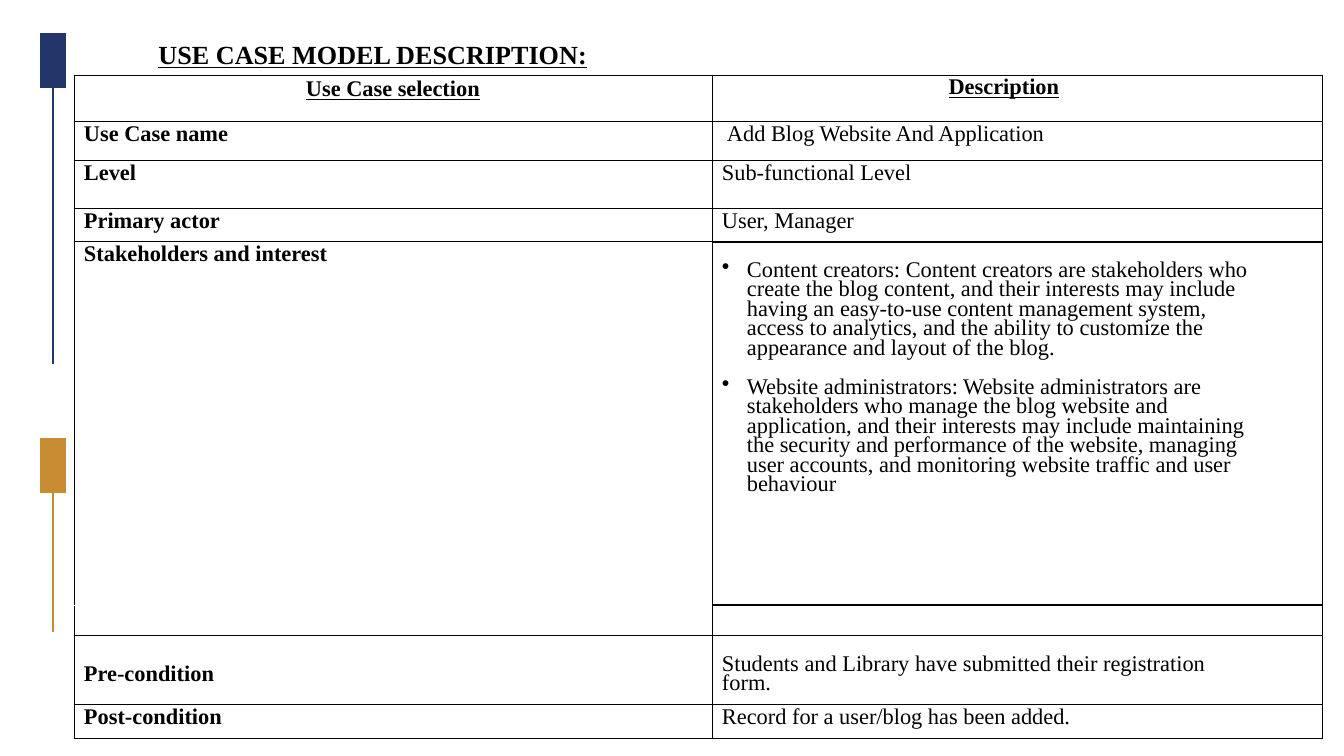
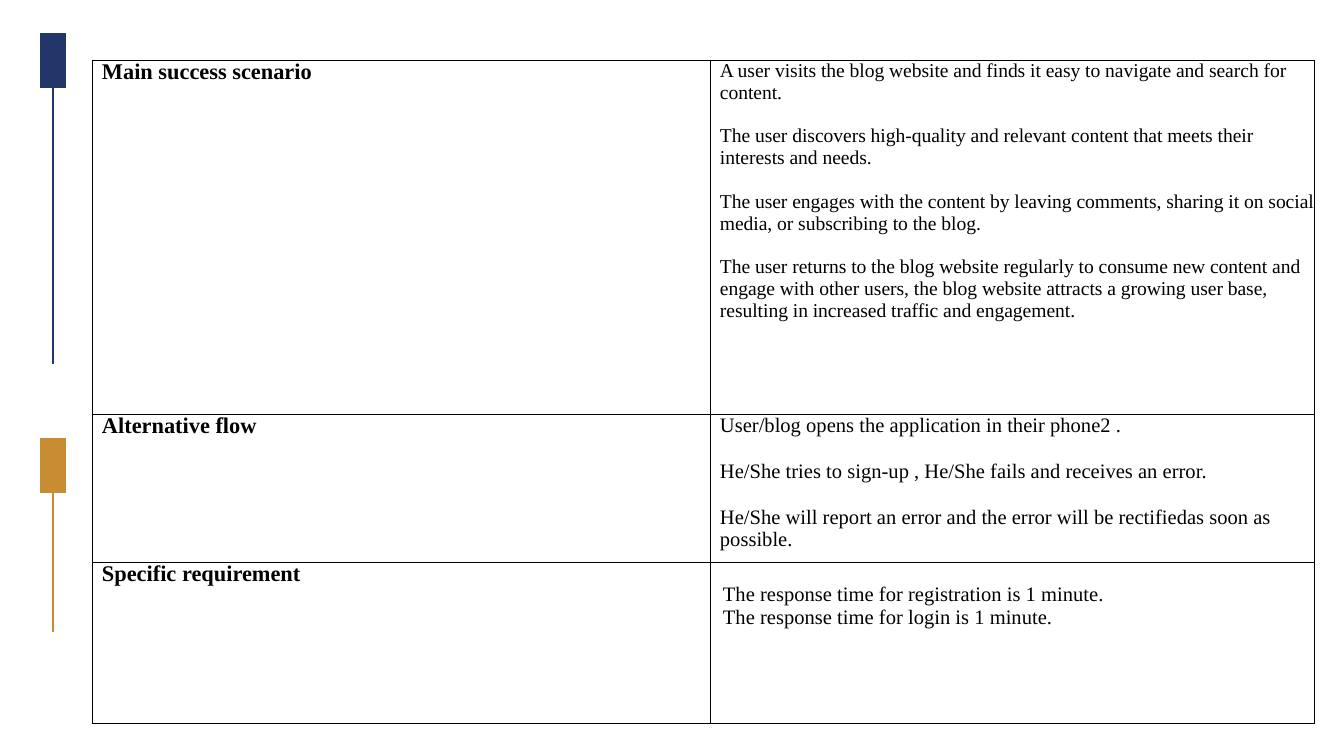
from dataclasses import dataclass, field

from lxml.etree import SubElement
from pptx import Presentation
from pptx.dml.color import RGBColor as Rgb
from pptx.enum.shapes import MSO_CONNECTOR as Connector
from pptx.enum.shapes import MSO_SHAPE as Preset
from pptx.enum.text import MSO_ANCHOR as Anchor
from pptx.enum.text import MSO_AUTO_SIZE as AutoSize
from pptx.enum.text import PP_ALIGN as Align
from pptx.oxml.ns import qn
from pptx.util import Emu, Pt

EMU_PER_PX = 914400 / 134.4
TITLE_ONLY, BLANK = 5, 6


@dataclass(frozen=True)
class Theme:
    """Colours, font and type sizes shared by the slides."""
    font: str = "Times New Roman"
    ink: str = "000000"
    paper: str = "FFFFFF"
    navy: str = "223669"
    gold: str = "C88C32"
    title: float = 14
    body: float = 12
    flow: float = 11
    scenario: float = 10.5
    rail: float = 1
    border: float = 0.58
    heavy: float = 0.82
    hair: float = 0.25


THEME = Theme()


@dataclass
class CellText:
    """Paragraphs of one table cell with their look, lengths in px."""
    paragraphs: tuple = ()
    size: float = THEME.body
    bold: bool = False
    underline: bool = False
    align: Align = Align.LEFT
    left: int = 10
    top: int = 0
    right: int = 0
    gap: int = 0
    spacing: object = None
    hang: int = 0
    borders: dict = field(default_factory=dict)


def px(length):
    """Turn px into EMU."""
    return Emu(round(length * EMU_PER_PX))


def px_box(box):
    """Turn a px box into EMU lengths."""
    return [px(length) for length in box]


def apply_format(target, values):
    """Set every attribute named in the dict."""
    for name, value in values.items():
        setattr(target, name, value)


def format_font(font, size, bold, underline):
    """Give a font the shared face and ink."""
    apply_format(font, {"name": THEME.font, "size": Pt(size),
                        "bold": bold, "underline": underline})
    font.color.rgb = Rgb.from_string(THEME.ink)


def label(text, **look):
    """Describe a bold label cell."""
    return CellText((text,), bold=True, **look)


def heading(text, **look):
    """Describe a centred, underlined column heading."""
    return label(text, underline=True, align=Align.CENTER, left=0, **look)


def add_marker(group, box, color, rail_length):
    """Draw a block with a rail hanging from its middle."""
    left, top, width, height = box
    middle = left + width // 2
    start = top + height // 2
    rail = group.shapes.add_connector(
        Connector.STRAIGHT, *px_box((middle, start, middle, start + rail_length)))
    rail.line.width = Pt(THEME.rail)
    rail.line.color.rgb = Rgb.from_string(color)
    SubElement(rail.element.spPr, qn("a:effectLst"))
    block = group.shapes.add_shape(Preset.RECTANGLE, *px_box(box))
    block.shadow.inherit = False
    block.fill.solid()
    block.fill.fore_color.rgb = Rgb.from_string(color)
    block.line.fill.background()


def add_side_markers(presentation, slide):
    """Place the two side markers on the slide master."""
    group = slide.shapes.add_group_shape()
    add_marker(group, (40, 438, 26, 55), THEME.gold, 167)
    add_marker(group, (40, 33, 26, 55), THEME.navy, 304)
    for number, node in enumerate(group.element.xpath(".//p:cNvPr"), 20):
        node.set("id", str(number))
    presentation.slide_master.element.cSld.spTree.append(group.element)


def set_title(slide, text, box):
    """Move and format the title placeholder."""
    title = slide.shapes.title
    apply_format(title, dict(zip(("left", "top", "width", "height"), px_box(box))))
    apply_format(title.text_frame, {"text": text, "word_wrap": True,
                                    "auto_size": AutoSize.NONE,
                                    "vertical_anchor": Anchor.MIDDLE})
    paragraph = title.text_frame.paragraphs[0]
    paragraph.alignment = Align.LEFT
    format_font(paragraph.runs[0].font, THEME.title, True, True)


def add_bullet(paragraph, hang):
    """Give a paragraph a hanging round bullet."""
    properties = paragraph._p.get_or_add_pPr()
    properties.set("marL", str(px(hang)))
    properties.set("indent", str(-px(hang)))
    color = SubElement(properties, qn("a:buClr"))
    SubElement(color, qn("a:srgbClr"), val=THEME.ink)
    SubElement(properties, qn("a:buChar"), char="•")


def set_borders(cell, overrides):
    """Draw the four cell edges, with overrides by edge letter."""
    properties = cell._tc.get_or_add_tcPr()
    for edge in "LRTB":
        color, width = overrides.get(edge, (THEME.ink, THEME.border))
        line = SubElement(properties, qn(f"a:ln{edge}"), w=str(Pt(width)))
        fill = SubElement(line, qn("a:solidFill"))
        SubElement(fill, qn("a:srgbClr"), val=color)


def fill_cell(cell, content):
    """Write one cell and set its margins, edges and fill."""
    apply_format(cell, {"margin_left": px(content.left), "margin_top": px(content.top),
                        "margin_right": px(content.right), "margin_bottom": 0,
                        "vertical_anchor": Anchor.TOP})
    set_borders(cell, content.borders)
    cell.fill.background()
    frame = cell.text_frame
    if not content.paragraphs:
        SubElement(frame.paragraphs[0]._p, qn("a:endParaRPr"),
                   sz=str(round(content.size * 100)))
    for index, text in enumerate(content.paragraphs):
        paragraph = frame.add_paragraph() if index else frame.paragraphs[0]
        if content.hang:
            add_bullet(paragraph, content.hang)
        apply_format(paragraph, {"alignment": content.align,
                                 "line_spacing": content.spacing})
        if index and content.gap:
            paragraph.space_before = px(content.gap)
        run = paragraph.add_run()
        run.text = text
        format_font(run.font, content.size, content.bold, content.underline)


def add_grid(slide, origin, widths, heights, rows):
    """Build a plain ruled table from rows of cell texts."""
    box = (*origin, sum(widths), sum(heights))
    table = slide.shapes.add_table(len(heights), len(widths), *px_box(box)).table
    apply_format(table, {"first_row": False, "horz_banding": False})
    for column, width in zip(table.columns, widths):
        column.width = px(width)
    for row, height, contents in zip(table.rows, heights, rows):
        row.height = px(height)
        for cell, content in zip(row.cells, contents):
            fill_cell(cell, content)


def build_description_slide(slide):
    """Fill the slide with the titled use case table."""
    set_title(slide, "USE CASE MODEL DESCRIPTION:", (145, 31, 564, 46))
    heavy = (THEME.ink, THEME.heavy)
    hair = (THEME.ink, THEME.hair)
    hidden = (THEME.paper, THEME.hair)
    tight = {"spacing": 0.78, "top": 20, "right": 69}
    stakeholders = (
        "Content creators: Content creators are stakeholders who create the blog "
        "content, and their interests may include having an easy-to-use content "
        "management system, access to analytics, and the ability to customize the "
        "appearance and layout of the blog.",
        "Website administrators: Website administrators are stakeholders who manage "
        "the blog website and application, and their interests may include "
        "maintaining the security and performance of the website, managing user "
        "accounts, and monitoring website traffic and user behaviour",
    )
    rows = [
        (heading("Use Case selection", top=2), heading("Description", right=26)),
        (label("Use Case name"),
         CellText(("Add Blog Website And Application",), left=15)),
        (label("Level"), CellText(("Sub-functional Level",))),
        (label("Primary actor"), CellText(("User, Manager",), borders={"B": heavy})),
        (label("Stakeholders and interest", borders={"B": hidden}),
         CellText(stakeholders, hang=25, gap=20, **tight,
                  borders={"T": heavy, "R": hair, "B": heavy})),
        (CellText(borders={"T": hidden}), CellText(borders={"T": heavy})),
        (label("Pre-condition", top=26),
         CellText(("Students and Library have submitted their registration form.",),
                  **tight)),
        (label("Post-condition"),
         CellText(("Record for a user/blog has been added.",),
                  borders={"B": heavy})),
    ]
    add_grid(slide, (74, 75), (638, 610), (47, 39, 48, 33, 363, 31, 69, 34), rows)


def build_scenario_slide(slide):
    """Fill the slide with the flow table and the scenario table."""
    left, top, widths, scenario_height = 92, 60, (618, 605), 354
    flow = (
        "User/blog opens the application in their phone2 .",
        "He/She tries to sign-up , He/She fails and receives an error.",
        "He/She will report an error and the error will be rectifiedas soon as possible.",
    )
    requirements = (
        "The response time for registration is 1 minute.",
        "The response time for login is 1 minute.",
    )
    scenario = (
        "A user visits the blog website and finds it easy to navigate and search "
        "for content.",
        "The user discovers high-quality and relevant content that meets their "
        "interests and needs.",
        "The user engages with the content by leaving comments, sharing it on "
        "social media, or subscribing to the blog.",
        "The user returns to the blog website regularly to consume new content and "
        "engage with other users, the blog website attracts a growing user base, "
        "resulting in increased traffic and engagement.",
    )
    add_grid(slide, (left, top + scenario_height), widths, (148, 162), [
        (label("Alternative flow"), CellText(flow, size=THEME.flow, gap=23)),
        (label("Specific requirement"),
         CellText(requirements, size=THEME.flow, left=13, top=22, spacing=Pt(12))),
    ])
    add_grid(slide, (left, top), widths, (scenario_height,), [
        (label("Main success scenario"),
         CellText(scenario, size=THEME.scenario, gap=22)),
    ])


def main():
    """Build both slides and save the presentation."""
    presentation = Presentation()
    apply_format(presentation, {"slide_width": px(1344), "slide_height": px(756)})
    layouts = presentation.slide_layouts
    description = presentation.slides.add_slide(layouts[TITLE_ONLY])
    add_side_markers(presentation, description)
    build_description_slide(description)
    build_scenario_slide(presentation.slides.add_slide(layouts[BLANK]))
    presentation.save("out.pptx")


if __name__ == "__main__":
    main()
